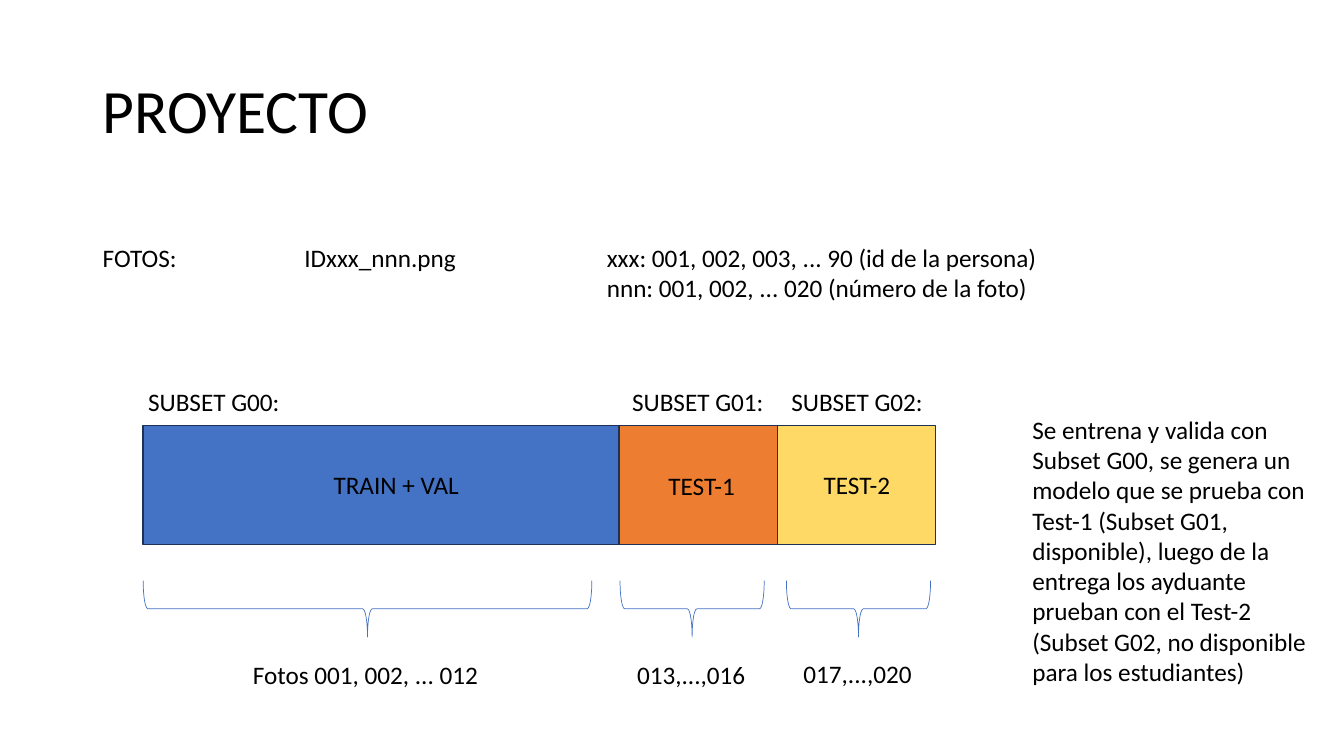
import pptx
import pptx.util
import pptx.oxml
import pptx.oxml.ns
import pptx.dml.color
import pptx.enum.shapes
import pptx.enum.text

Inches = pptx.util.Inches
Pt = pptx.util.Pt
RGBColor = pptx.dml.color.RGBColor
SHAPE = pptx.enum.shapes.MSO_SHAPE
ANCHOR = pptx.enum.text.MSO_ANCHOR
AUTO = pptx.enum.text.MSO_AUTO_SIZE

BLACK = RGBColor(0x00, 0x00, 0x00)
BLUE = RGBColor(0x44, 0x72, 0xC4)
ORANGE = RGBColor(0xED, 0x7D, 0x31)
YELLOW = RGBColor(0xFF, 0xD9, 0x66)
NAVY = RGBColor(0x1E, 0x32, 0x56)

LABEL = {"auto_size": AUTO.SHAPE_TO_FIT_TEXT, "word_wrap": False}
NOTE = {"auto_size": AUTO.SHAPE_TO_FIT_TEXT, "word_wrap": True}
TITLE = {"word_wrap": True, "vertical_anchor": ANCHOR.MIDDLE}
BODY_FONT = {"name": "Calibri", "size": Pt(18)}
TITLE_FONT = {"name": "Calibri", "size": Pt(44)}

BAR_LEFT, BAR_TOP, BAR_HEIGHT = 1.42, 4.22, 1.18
BRACE_TOP, BRACE_HEIGHT = 5.76, 0.56
LABEL_HEIGHT = 0.4


def apply(target, values):
    for name, value in values.items():
        setattr(target, name, value)


def add_tabs(p, stops):
    pPr = p._p.get_or_add_pPr()
    tabs = pptx.oxml.parse_xml(f"<a:tabLst {pptx.oxml.ns.nsdecls('a')}/>")
    for stop in stops:
        tab = tabs.makeelement(pptx.oxml.ns.qn("a:tab"),
                               {"pos": str(Inches(stop)), "algn": "l"})
        tabs.append(tab)
    pPr.append(tabs)


def add_text(s, at, lines, frame=LABEL, font=BODY_FONT, stops=(), spacing=1.0):
    sp = s.shapes.add_textbox(*map(Inches, at))
    tf = sp.text_frame
    apply(tf, frame)
    for i, line in enumerate(lines):
        p = tf.paragraphs[0] if i == 0 else tf.add_paragraph()
        p.line_spacing = spacing
        if stops:
            add_tabs(p, stops)
        r = p.add_run()
        r.text = line
        apply(r.font, font)
        r.font.color.rgb = BLACK


def add_block(s, left, width, color):
    sp = s.shapes.add_shape(SHAPE.RECTANGLE, Inches(left), Inches(BAR_TOP),
                            Inches(width), Inches(BAR_HEIGHT))
    sp.shadow.inherit = False
    sp.fill.solid()
    sp.fill.fore_color.rgb = color
    sp.line.color.rgb = NAVY
    sp.line.width = Pt(1)


def add_brace(s, left, width):
    x = left + (width - BRACE_HEIGHT) / 2
    y = BRACE_TOP + (BRACE_HEIGHT - width) / 2
    sp = s.shapes.add_shape(SHAPE.LEFT_BRACE, Inches(x), Inches(y),
                            Inches(BRACE_HEIGHT), Inches(width))
    sp.rotation = 270
    sp.shadow.inherit = False
    sp.fill.background()
    sp.line.color.rgb = BLUE
    sp.line.width = Pt(0.5)


def main():
    prs = pptx.Presentation()
    prs.slide_width, prs.slide_height = Inches(13.33), Inches(7.5)
    s = prs.slides.add_slide(prs.slide_layouts[6])

    add_text(s, (0.92, 0.4, 11.5, 1.45), ["PROYECTO"], TITLE, TITLE_FONT, spacing=0.9)
    add_text(s, (0.92, 2.35, 9.69, 0.71),
             ["FOTOS:\tIDxxx_nnn.png\txxx: 001, 002, 003, ... 90 (id de la persona)",
              "\t\tnnn: 001, 002, ... 020 (número de la foto)"], stops=(2, 5))

    left = BAR_LEFT
    for width, color in ((4.72, BLUE), (1.57, ORANGE), (1.57, YELLOW)):
        add_block(s, left, width, color)
        left += width

    for left, width in ((1.42, 4.45), (6.15, 1.43), (7.8, 1.43)):
        add_brace(s, left, width)

    labels = (
        (1.37, 3.78, 1.52, "SUBSET G00:"),
        (6.17, 3.78, 1.52, "SUBSET G01:"),
        (7.75, 3.78, 1.52, "SUBSET G02:"),
        (3.21, 4.61, 1.46, "TRAIN + VAL"),
        (6.53, 4.62, 0.87, "TEST-1"),
        (8.07, 4.61, 0.87, "TEST-2"),
        (2.41, 6.49, 2.46, "Fotos 001, 002, ... 012"),
        (6.22, 6.49, 1.29, "013,...,016"),
        (7.87, 6.48, 1.29, "017,...,020"),
    )
    for x, y, width, text in labels:
        add_text(s, (x, y, width, LABEL_HEIGHT), [text])

    add_text(s, (10.14, 4.06, 2.98, 2.83),
             ["Se entrena y valida con Subset G00, se genera un modelo que se prueba "
              "con Test-1 (Subset G01, disponible), luego de la entrega los ayduante "
              "prueban con el Test-2 (Subset G02, no disponible para los estudiantes)"],
             NOTE)

    prs.save("out.pptx")


if __name__ == "__main__":
    main()
